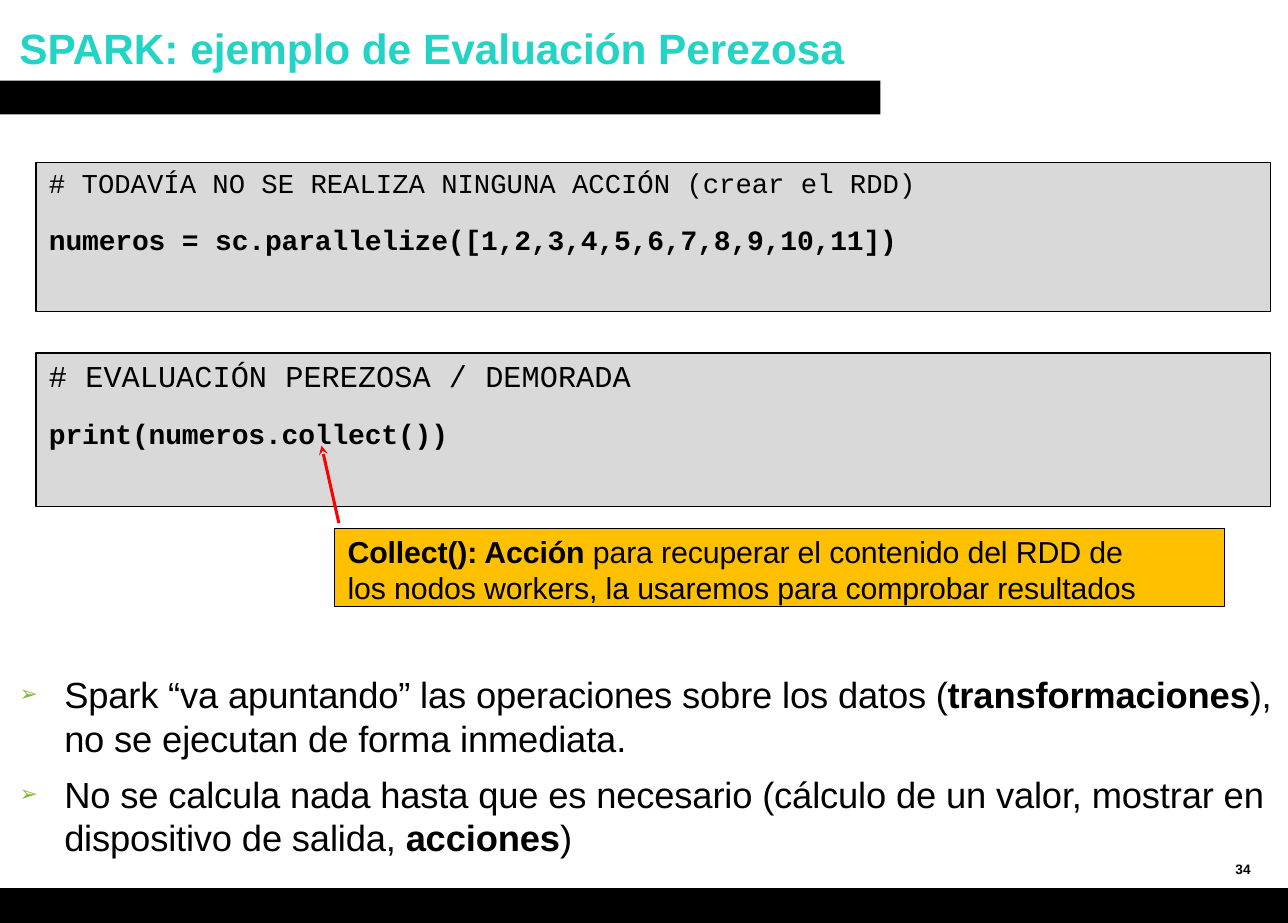
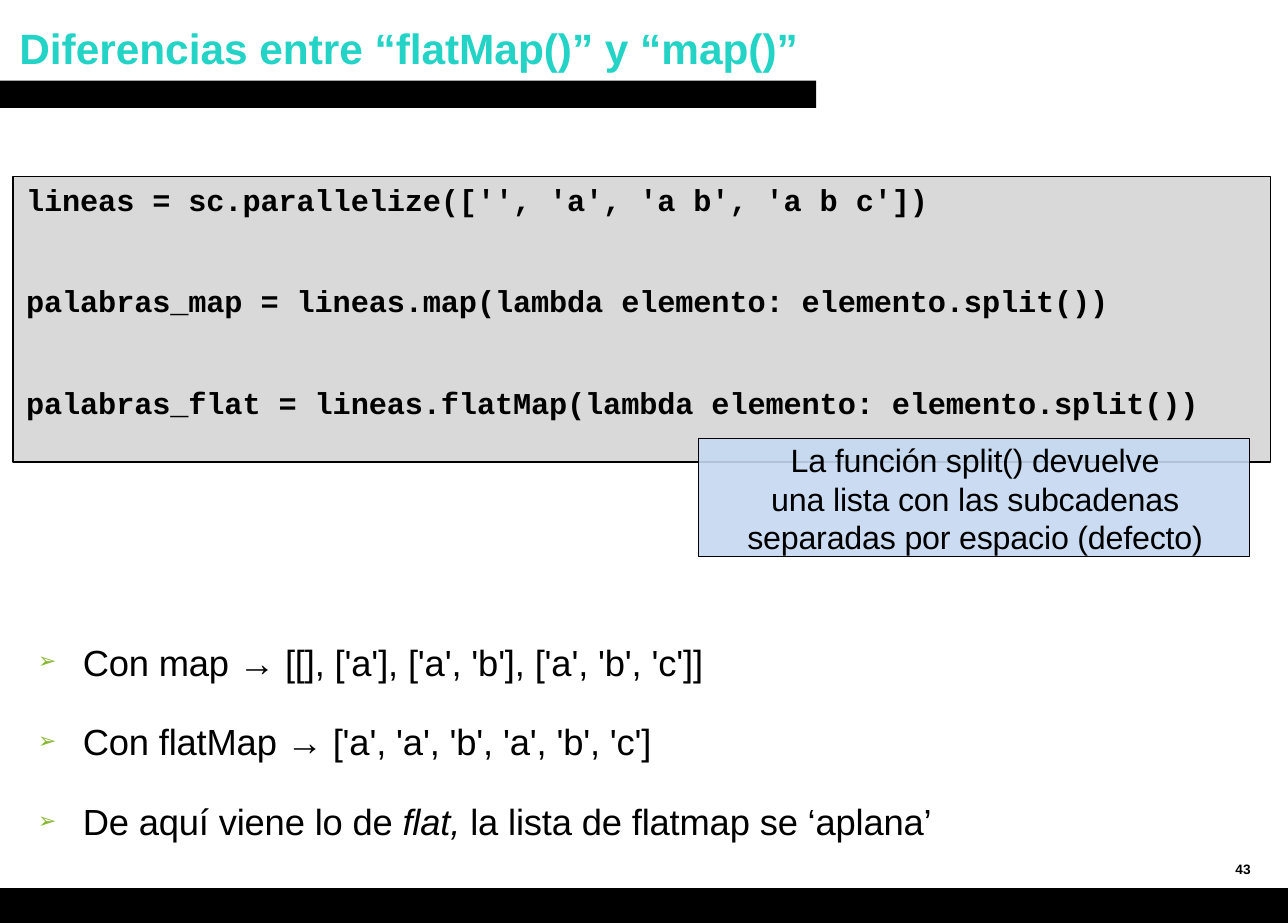
import pptx
import pptx.dml.color
import pptx.enum.shapes
import pptx.enum.text
import pptx.oxml
import pptx.oxml.ns
import pptx.util
from pptx.util import Inches

RECT = pptx.enum.shapes.MSO_SHAPE.RECTANGLE
ALIGN = pptx.enum.text.PP_ALIGN
ANCHOR = pptx.enum.text.MSO_ANCHOR
NS = pptx.oxml.ns.nsdecls("a")


def rgb(value):
    return pptx.dml.color.RGBColor.from_string(value)


def xml(body):
    """Parse one DrawingML element written without its namespace."""
    tag, rest = body[:-2].partition(" ")[::2]
    return pptx.oxml.parse_xml(f"{tag} {NS} {rest}/>")


def set_all(target, values):
    for name, value in values.items():
        setattr(target, name, value)


class Deck:
    WIDTH, HEIGHT = 11.82, 8.47
    BLACK, TITLE, CODE, BULLET = "000000", "22D3C6", "D9D9D9", "89B833"
    SANS, MONO = "Arial", "Courier New"

    def __init__(self):
        self.prs = pptx.Presentation()
        self.prs.slide_width = Inches(self.WIDTH)
        self.prs.slide_height = Inches(self.HEIGHT)
        self.s = None

    # Slide frame: title, band under it, footer and page number
    def slide(self, title, number, band_width, band_height):
        self.s = self.prs.slides.add_slide(self.prs.slide_layouts[6])
        self.rect(0, 8.15, self.WIDTH, 0.33, self.BLACK)
        self.rect(0, 0.74, band_width, band_height, self.BLACK)
        heading = self.text_box(0.08, 0.15, 9.58, 0.67, 0.1, 0.05)
        self.paragraph(heading, [title], 28, color=self.TITLE, bold=True)
        page = self.text_box(11.24, 7.75, 0.46, 0.4, 0.1, 0.05)
        page.vertical_anchor = ANCHOR.MIDDLE
        self.paragraph(page, [str(number)], 9, bold=True)

    # Shapes
    def rect(self, x, y, w, h, fill, line=None, alpha=None):
        sp = self.s.shapes.add_shape(RECT, Inches(x), Inches(y), Inches(w), Inches(h))
        sp.shadow.inherit = False
        sp.fill.solid()
        sp.fill.fore_color.rgb = rgb(fill)
        if alpha:
            color = next(sp.fill._xPr.iter(pptx.oxml.ns.qn("a:srgbClr")))
            color.append(xml(f'<a:alpha val="{alpha * 1000}"/>'))
        if line:
            sp.line.color.rgb = rgb(self.BLACK)
            sp.line.width = pptx.util.Pt(line)
        else:
            sp.line.fill.background()
        return sp

    def arrow(self, tip, end, color, width):
        c = self.s.shapes.add_connector(
            pptx.enum.shapes.MSO_CONNECTOR.STRAIGHT, *map(Inches, tip + end))
        c.line.color.rgb = rgb(color)
        c.line.width = pptx.util.Pt(width)
        c.line._get_or_add_ln().append(xml('<a:headEnd type="stealth"/>'))
        c._element.spPr.append(xml("<a:effectLst/>"))

    # Text frames
    def frame(self, sp, left, top, right=0):
        tf = sp.text_frame
        set_all(tf, {
            "word_wrap": True, "vertical_anchor": ANCHOR.TOP,
            "margin_left": Inches(left), "margin_top": Inches(top),
            "margin_right": Inches(right), "margin_bottom": 0,
        })
        return tf

    def text_box(self, x, y, w, h, left, top):
        sp = self.s.shapes.add_textbox(Inches(x), Inches(y), Inches(w), Inches(h))
        return self.frame(sp, left, top)

    def paragraph(self, tf, runs, size, font=SANS, color=BLACK, bold=False, before=0,
                  spacing=1.0, track=0, align=ALIGN.LEFT, bullet=False):
        """Add a paragraph; a run is a string or a (string, font values) pair."""
        first = not tf.paragraphs[0].runs
        p = tf.paragraphs[0] if first else tf.add_paragraph()
        if bullet:
            self.bullet(p)
        set_all(p, {"alignment": align, "line_spacing": spacing,
                    "space_before": pptx.util.Pt(0 if first else before)})
        for run in runs:
            text, extra = (run, {}) if isinstance(run, str) else run
            r = p.add_run()
            r.text = text
            set_all(r.font, {"name": font, "size": pptx.util.Pt(size), "bold": bold, **extra})
            r.font.color.rgb = rgb(color)
            if track:
                r._r.get_or_add_rPr().set("spc", str(round(track * 100)))

    def bullet(self, p):
        pPr = p._p.get_or_add_pPr()
        pPr.set("marL", str(Inches(0.43)))
        pPr.set("indent", str(Inches(-0.41)))
        clr = xml("<a:buClr/>")
        clr.append(xml(f'<a:srgbClr val="{self.BULLET}"/>'))
        pPr.append(clr)
        for body in ('<a:buSzPct val="60000"/>', f'<a:buFont typeface="{self.SANS}"/>',
                     '<a:buChar char="➢"/>'):
            pPr.append(xml(body))

    # Composite elements
    def code(self, x, y, w, h, lines, **style):
        tf = self.frame(self.rect(x, y, w, h, self.CODE, 1.02), 0.12, 0.04)
        for text, values in lines:
            self.paragraph(tf, [text], font=self.MONO, **{**style, **values})

    def callout(self, x, y, w, h, fill, paragraphs, inset, alpha=None, **style):
        sp = self.rect(x, y, w, h, fill, 0.75, alpha)
        tf = self.frame(sp, *inset)
        for runs in paragraphs:
            self.paragraph(tf, runs, track=-0.1, **style)

    def bullets(self, x, y, w, h, items, **style):
        tf = self.text_box(x, y, w, h, 0, 0.13)
        for runs in items:
            self.paragraph(tf, runs, 24, track=-0.1, bullet=True, **style)


def main():
    deck = Deck()
    bold, italic = {"bold": True}, {"italic": True}

    # Lazy evaluation
    deck.slide("SPARK: ejemplo de Evaluación Perezosa", 34, 8.08, 0.31)
    statement = {"size": 18.5, "bold": True, "track": -0.1}
    deck.code(0.33, 1.49, 11.33, 1.37, [
        ("# TODAVÍA NO SE REALIZA NINGUNA ACCIÓN (crear el RDD)", {"size": 18}),
        ("numeros = sc.parallelize([1,2,3,4,5,6,7,8,9,10,11])", statement),
    ], before=15.2)
    deck.code(0.33, 3.24, 11.33, 1.41, [
        ("# EVALUACIÓN PEREZOSA / DEMORADA", {"size": 20}),
        ("print(numeros.collect())", statement),
    ], before=15.2)
    deck.callout(3.07, 4.85, 8.17, 0.72, "FFC000", [[
        ("Collect(): Acción ", bold),
        "para recuperar el contenido del RDD de los nodos workers, "
        "la usaremos para comprobar resultados",
    ]], (0.12, 0.06, 0.6), size=20, spacing=0.98)
    deck.arrow((2.95, 4.09), (3.11, 4.8), "FF0000", 2)
    deck.bullets(0.16, 6.04, 11.58, 1.86, [
        ["Spark “va apuntando” las operaciones sobre los datos (",
         ("transformaciones", bold), "), no se ejecutan de forma inmediata."],
        ["No se calcula nada hasta que es necesario (cálculo de un valor, "
         "mostrar en dispositivo de salida, ", ("acciones", bold), ")"],
    ], before=8.3)

    # flatMap against map
    deck.slide("Diferencias entre “flatMap()” y “map()”", 43, 7.49, 0.25)
    spaced = {"spacing": 1.36, "before": 34.6}
    deck.code(0.12, 1.62, 11.54, 2.62, [
        ("lineas = sc.parallelize(['', 'a', 'a b', 'a b c'])", {}),
        ("palabras_map = lineas.map(lambda elemento: elemento.split())", spaced),
        ("palabras_flat = lineas.flatMap(lambda elemento: elemento.split())", spaced),
    ], size=20, bold=True, track=-0.1)
    deck.callout(6.41, 4.02, 5.06, 1.09, "C6D9F1", [
        ["La función split() devuelve"],
        ["una lista con las subcadenas separadas por espacio (defecto)"],
    ], (0.02, 0.02), alpha=90, size=21.3, align=ALIGN.CENTER)
    deck.bullets(0.33, 5.54, 10.93, 2.11, [
        ["Con map → [[], ['a'], ['a', 'b'], ['a', 'b', 'c']]"],
        ["Con flatMap → ['a', 'a', 'b', 'a', 'b', 'c']"],
        ["De aquí viene lo de ", ("flat, ", italic), "la lista de flatmap se ‘aplana’"],
    ], before=9.5, spacing=1.5)

    deck.prs.save("out.pptx")


if __name__ == "__main__":
    main()
